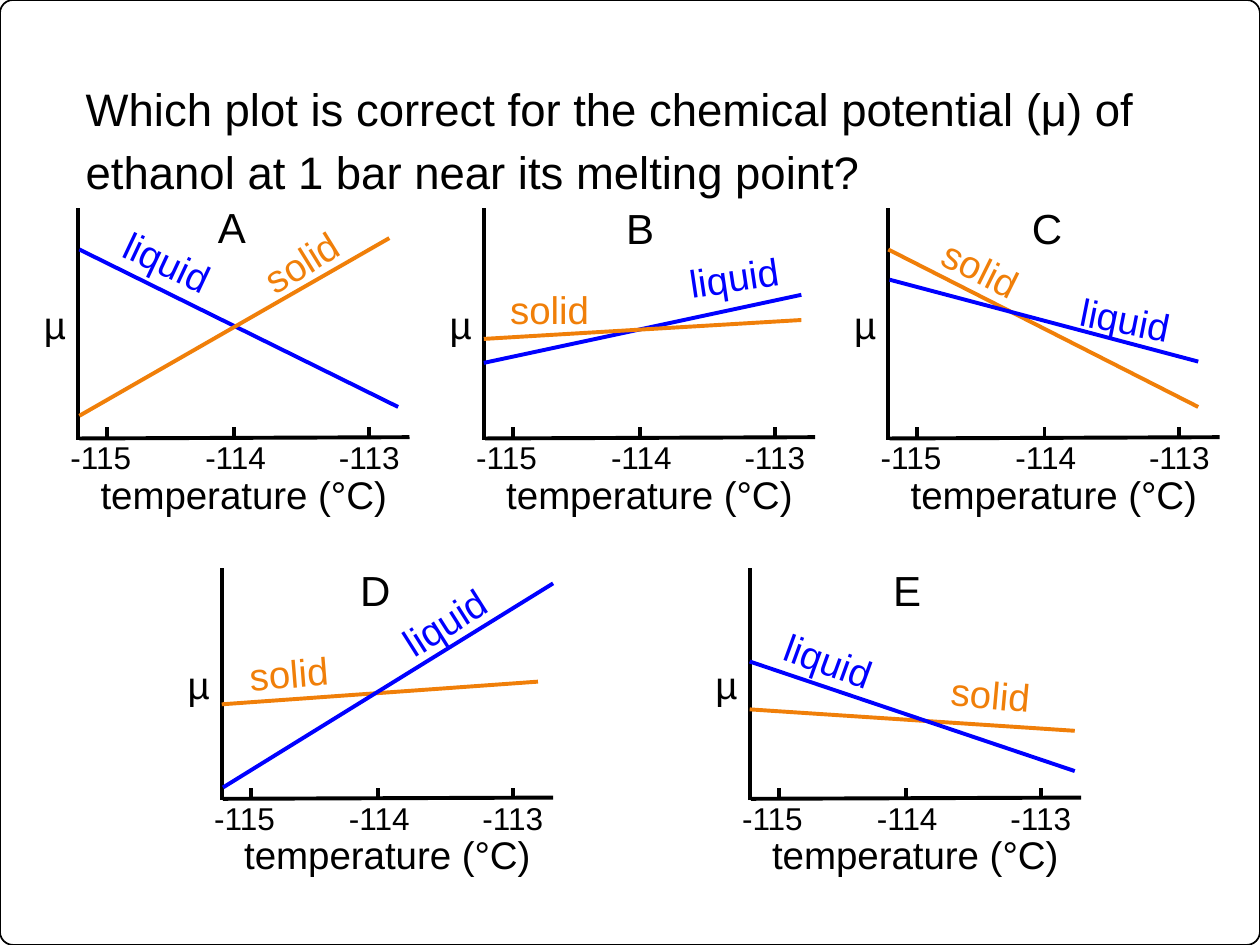
from pptx import Presentation
from pptx.dml.color import RGBColor
from pptx.enum.shapes import MSO_CONNECTOR as Connector, MSO_SHAPE as Shape
from pptx.enum.text import PP_ALIGN as Align
from pptx.oxml.ns import qn
from pptx.util import Pt
from lxml.etree import SubElement

PX = 9144
BLACK, BLUE, ORANGE = "000000", "0000FF", "F07F09"
COLORS = {"solid": ORANGE, "liquid": BLUE}
LEFT, CENTER = Align.LEFT, Align.CENTER
TICKS = [("-115", 23, -16), ("-114", 124, 91), ("-113", 231, 197)]

# Curves: name, start, end. Labels: name, left, top, width, rotation, alignment.
PLOTS = [
    ("A", (62, 165), (101, -10),
     [("liquid", (1, 33), (254, 158)), ("solid", (1, 165), (247, 24))],
     [("solid", 136, 19, 84, -31.7, LEFT), ("liquid", 25, 20, 95, 25.3, LEFT)]),
    ("B", (384, 165), (103, -9),
     [("liquid", (0, 123), (252, 69)), ("solid", (0, 104), (252, 89))],
     [("liquid", 153, 31, 96, -8.6, LEFT), ("solid", 11, 57, 110, 0, LEFT)]),
    ("C", (705, 165), (104, -9),
     [("solid", (0, 33), (246, 158)), ("liquid", (1, 57), (246, 122))],
     [("liquid", 133, 65, 110, 11.4, CENTER), ("solid", 32, 25, 84, 26.4, LEFT)]),
    ("D", (176, 451), (100, -8),
     [("solid", (0, 108), (251, 90)), ("liquid", (1, 174), (263, 12))],
     [("solid", 12, 58, 126, -4.6, LEFT), ("liquid", 122, 19, 110, -32.4, CENTER)]),
    ("E", (595, 451), (104, -8),
     [("solid", (0, 112), (258, 129)), ("liquid", (0, 74), (258, 161))],
     [("liquid", 17, 50, 92, 20, LEFT), ("solid", 150, 77, 94, 5.2, LEFT)]),
]


def color(value):
    return RGBColor.from_string(value)


def add_text(slide, text, box, size, ink=BLACK, align=LEFT, rotation=0):
    shape = slide.shapes.add_textbox(*(length * PX for length in box))
    shape.rotation = rotation
    frame = shape.text_frame
    frame.word_wrap = True
    paragraph = frame.paragraphs[0]
    paragraph.text = text
    paragraph.alignment = align
    font = paragraph.font
    font.name, font.size = "Arial", Pt(size)
    font.color.rgb = color(ink)
    return frame


def add_line(slide, origin, start, end, ink=BLACK):
    left, top = origin
    points = (left + start[0], top + start[1], left + end[0], top + end[1])
    line = slide.shapes.add_connector(
        Connector.STRAIGHT, *(point * PX for point in points))
    line.line.width = Pt(2.25)
    line.line.color.rgb = color(ink)
    SubElement(line._element.spPr, qn("a:effectLst"))


def add_border(slide, width, height):
    shape = slide.shapes.add_shape(Shape.ROUNDED_RECTANGLE, 0, 0, width, height)
    shape.adjustments[0] = 0.014
    shape.shadow.inherit = False
    shape.fill.background()
    shape.line.width = Pt(1)
    shape.line.color.rgb = color(BLACK)


def add_question(slide, box):
    frame = add_text(slide, "Which plot is correct for the chemical potential (μ) of "
                     "ethanol at 1 bar near its melting point?", box, 26)
    frame.margin_left = frame.margin_right = 0
    frame.margin_top = frame.margin_bottom = 0
    frame.paragraphs[0].line_spacing = 1.15


def add_axes(slide, origin):
    left, top = origin
    for text, tick, label in TICKS:
        add_text(slide, text, (left + label, top + 178, 68, 40), 18, align=CENTER)
        add_line(slide, origin, (tick, 182), (tick, 174))
    add_line(slide, origin, (1, 183), (263, 182))
    add_line(slide, origin, (0, 184), (0, 0))
    add_text(slide, "µ", (left - 37, top + 69, 44, 47), 22)
    add_text(slide, "temperature (°C)", (left + 6, top + 204, 251, 47), 22, align=CENTER)


def add_plot(slide, letter, origin, letter_at, curves, labels):
    left, top = origin
    add_axes(slide, origin)
    for name, start, end in curves:
        add_line(slide, origin, start, end, COLORS[name])
    for name, x, y, width, rotation, align in labels:
        add_text(slide, name, (left + x, top + y, width, 47), 22,
                 COLORS[name], align, rotation)
    add_text(slide, letter, (left + letter_at[0], top + letter_at[1], 48, 50), 24)


def main():
    presentation = Presentation()
    presentation.slide_width, presentation.slide_height = 1000 * PX, 750 * PX
    slide = presentation.slides.add_slide(presentation.slide_layouts[6])
    add_border(slide, presentation.slide_width, presentation.slide_height)
    add_question(slide, (68, 58, 879, 110))
    for plot in PLOTS:
        add_plot(slide, *plot)
    presentation.save("out.pptx")


if __name__ == "__main__":
    main()
